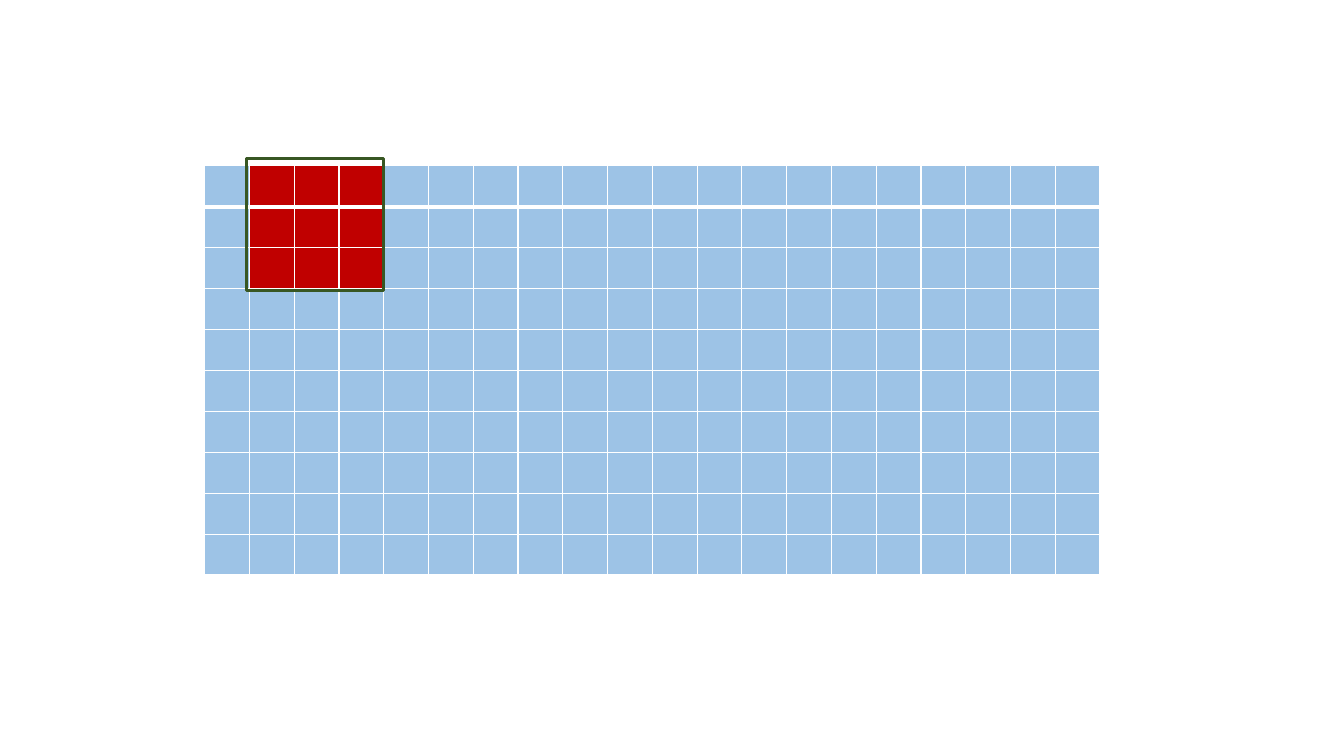
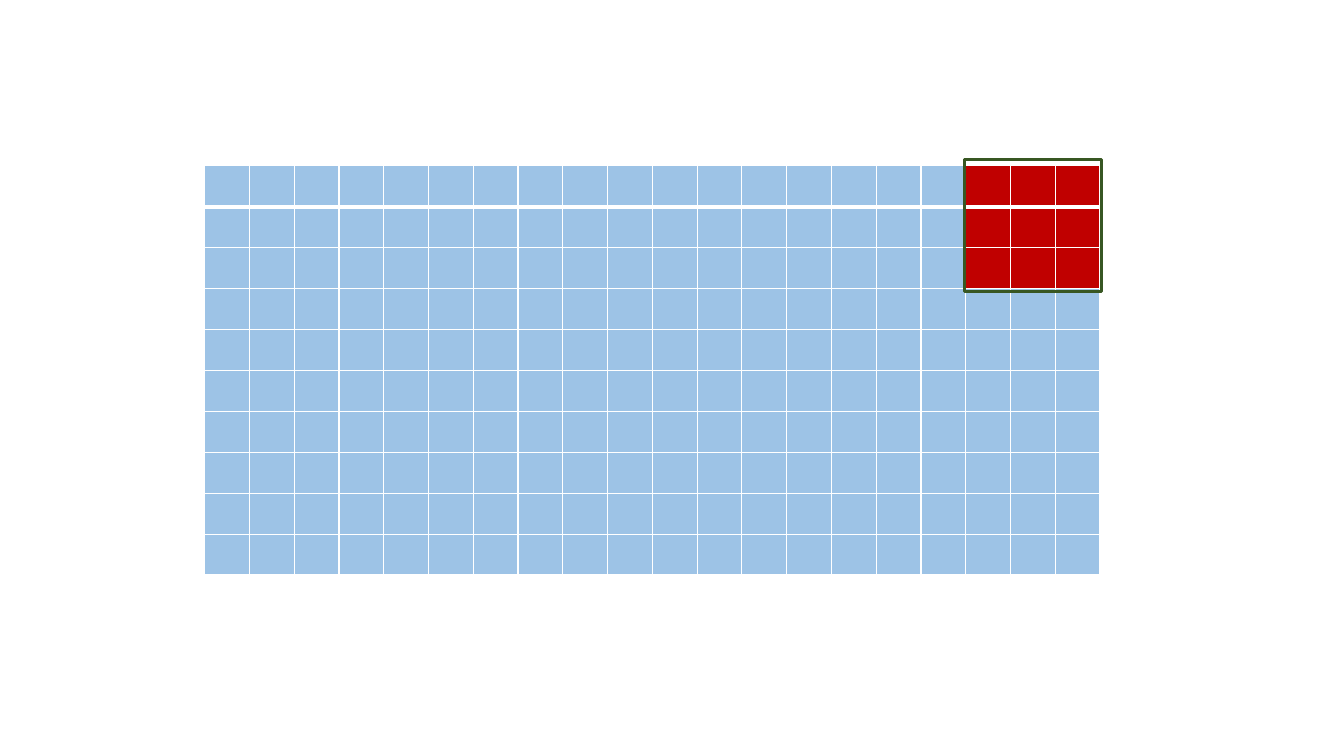
import pptx
import pptx.dml.color
import pptx.enum.shapes
import pptx.oxml
import pptx.oxml.ns
import pptx.util

PX = 9525  # EMU
SLIDE_W, SLIDE_H = 1280, 720
COLORS = {"cell": "9DC3E6", "window": "C00000", "border": "FFFFFF", "frame": "385723"}

ROWS, COLS = 10, 20
GRID = (195, 158, 853, 390)
WINDOW = 3  # cells per side
FRAME_W, FRAME_H = 130, 126
THIN, THICK, FRAME_LINE = 1, 3, 2.25  # points

# One slide each: first column of the window, left and top of its frame
STEPS = [(1, 235, 151), (17, 919, 152)]


def px(n):
    return pptx.util.Emu(round(n * PX))


def rgb(name):
    return pptx.dml.color.RGBColor.from_string(COLORS[name])


def set_borders(cell, **widths):
    """Draw the sides L, R, T and B of a cell, with widths in points."""
    tc_pr = cell._tc.get_or_add_tcPr()
    for i, side in enumerate("LRTB"):
        ln = pptx.oxml.parse_xml(
            f'<a:ln{side} {pptx.oxml.ns.nsdecls("a")} w="{pptx.util.Pt(widths[side])}">'
            f'<a:solidFill><a:srgbClr val="{COLORS["border"]}"/></a:solidFill>'
            f'</a:ln{side}>')
        tc_pr.insert(i, ln)


def add_grid(s, window_col):
    left, top, width, height = GRID
    table = s.shapes.add_table(ROWS, COLS, px(left), px(top), px(width), px(height)).table
    table.first_row = table.horz_banding = False
    for col in table.columns:
        col.width = px(width / COLS)
    for row in table.rows:
        row.height = px(height / ROWS)
    for r in range(ROWS):
        for c in range(COLS):
            cell = table.cell(r, c)
            inside = r < WINDOW and window_col <= c < window_col + WINDOW
            cell.fill.solid()
            cell.fill.fore_color.rgb = rgb("window" if inside else "cell")
            set_borders(cell, L=THIN, R=THIN,
                        T=THICK if r == 1 else THIN,
                        B=THICK if r == 0 else THIN)


def add_frame(s, left, top):
    sp = s.shapes.add_shape(pptx.enum.shapes.MSO_SHAPE.RECTANGLE,
                            px(left), px(top), px(FRAME_W), px(FRAME_H))
    sp.shadow.inherit = False
    sp.fill.background()
    sp.line.color.rgb = rgb("frame")
    sp.line.width = pptx.util.Pt(FRAME_LINE)


def main():
    prs = pptx.Presentation()
    prs.slide_width, prs.slide_height = px(SLIDE_W), px(SLIDE_H)
    for window_col, left, top in STEPS:
        s = prs.slides.add_slide(prs.slide_layouts[6])
        add_grid(s, window_col)
        add_frame(s, left, top)
    prs.save("out.pptx")


if __name__ == "__main__":
    main()
